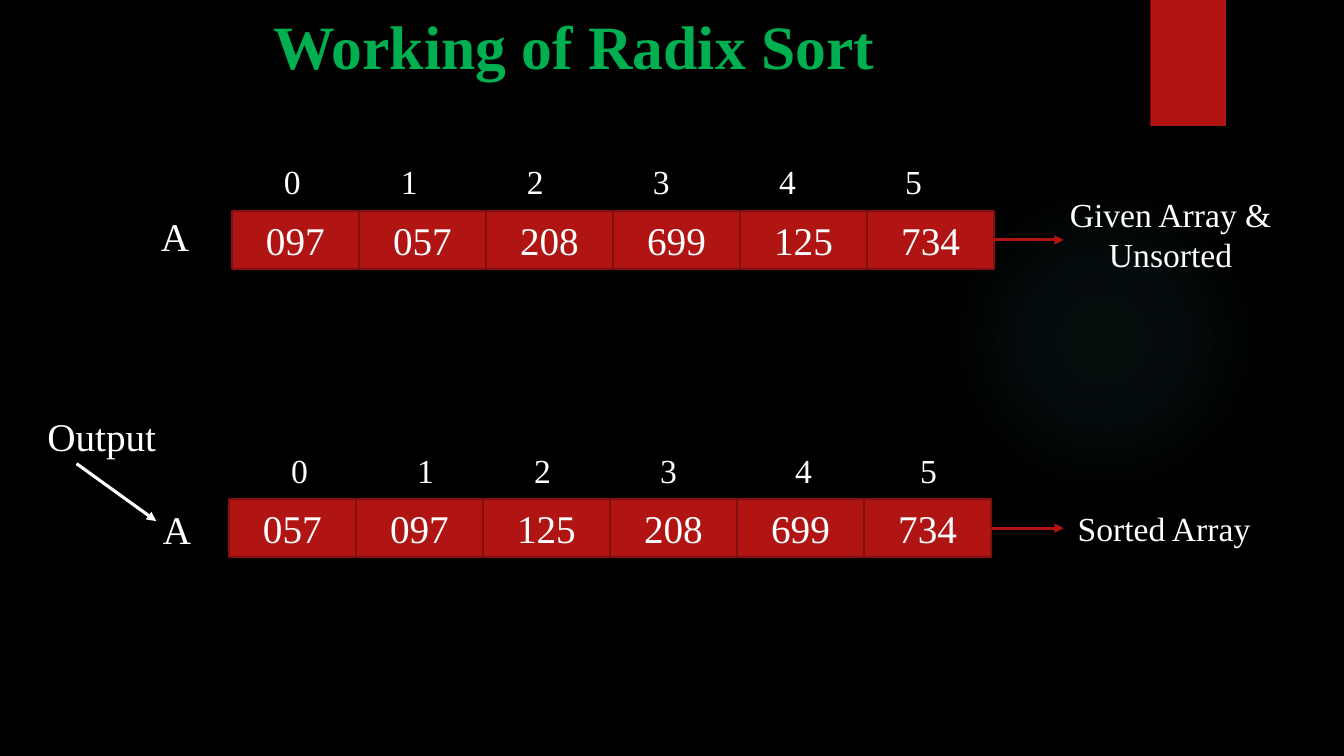
from pptx import Presentation
from pptx.dml.color import RGBColor
from pptx.enum.shapes import MSO_CONNECTOR, MSO_SHAPE
from pptx.enum.text import MSO_ANCHOR, PP_ALIGN
from pptx.oxml import parse_xml
from pptx.oxml.ns import nsdecls, qn
from pptx.util import Inches, Pt
from lxml import etree

RECT, OVAL = MSO_SHAPE.RECTANGLE, MSO_SHAPE.OVAL
LINE = MSO_CONNECTOR.STRAIGHT
MID, TOP = MSO_ANCHOR.MIDDLE, MSO_ANCHOR.TOP
CENTER = PP_ALIGN.CENTER

FONT = "Times New Roman"
COLORS = {"back": "000000", "red": "B01513", "edge": "82100E",
          "green": "00B050", "white": "FFFFFF", "glow": "50B9C1"}
GLOW = [(0, 7), (36, 6), (69, 0)]
TITLE = "Working of Radix Sort"
ROWS = [
    {"vals": ["097", "057", "208", "699", "125", "734"],
     "left": 2.3, "top": 2.09, "marks": [2.9, 4.06, 5.31, 6.56, 7.81, 9.06],
     "name": (0.99, 2.03, 1.49, 0.61),
     "note": "Given Array & Unsorted", "spot": (10.24, 1.74, 2.74, 1.17)},
    {"vals": ["057", "097", "125", "208", "699", "734"],
     "left": 2.27, "top": 4.95, "marks": [2.97, 4.22, 5.38, 6.63, 7.97, 9.21],
     "name": (1.01, 4.94, 1.49, 0.61),
     "note": "Sorted Array", "spot": (10.37, 4.96, 2.35, 0.56)},
]
CELL_W, CELL_H = 1.26, 0.58
MARK_W, MARK_H, MARK_UP = 0.5, 0.5, 0.54
TIP = 10.55


def color(name):
    return RGBColor.from_string(COLORS[name])


def write(shape, text, size, tint="white", bold=False, anchor=MID):
    frame = shape.text_frame
    frame.word_wrap = True
    frame.vertical_anchor = anchor
    para = frame.paragraphs[0]
    para.alignment = CENTER
    run = para.add_run()
    run.text = text
    run.font.name = FONT
    run.font.size = Pt(size)
    run.font.bold = bold
    run.font.color.rgb = color(tint)


def label(slide, box, text, size, **style):
    shape = slide.shapes.add_textbox(*map(Inches, box))
    write(shape, text, size, **style)
    return shape


def block(slide, box, kind=RECT, edge=None):
    shape = slide.shapes.add_shape(kind, *map(Inches, box))
    shape.shadow.inherit = False
    shape.fill.solid()
    shape.fill.fore_color.rgb = color("red")
    if edge:
        shape.line.color.rgb = color(edge)
        shape.line.width = Pt(1.5)
    else:
        shape.line.fill.background()
    return shape


def arrow(slide, start, end, tint):
    line = slide.shapes.add_connector(LINE, *map(Inches, start + end))
    line.line.color.rgb = color(tint)
    line.line.width = Pt(2.25)
    etree.SubElement(line.line._get_or_add_ln(), qn("a:tailEnd"), type="triangle")
    etree.SubElement(line._element.spPr, qn("a:effectLst"))
    return line


def glow(slide, box):
    props = block(slide, box, OVAL)._element.spPr
    stops = "".join(
        f'<a:gs pos="{pos * 1000}"><a:srgbClr val="{COLORS["glow"]}">'
        f'<a:alpha val="{alpha * 1000}"/></a:srgbClr></a:gs>'
        for pos, alpha in GLOW)
    grad = parse_xml(
        f'<a:gradFill {nsdecls("a")}><a:gsLst>{stops}</a:gsLst>'
        '<a:path path="circle"><a:fillToRect l="50000" t="50000" r="50000" b="50000"/>'
        '</a:path></a:gradFill>')
    props.replace(props.find(qn("a:solidFill")), grad)


def array(slide, row):
    left, top = row["left"], row["top"]
    for col, (val, mid) in enumerate(zip(row["vals"], row["marks"])):
        label(slide, (mid - MARK_W / 2, top - MARK_UP, MARK_W, MARK_H), str(col), 24)
        cell = block(slide, (left + col * CELL_W, top, CELL_W, CELL_H), edge="edge")
        write(cell, val, 28)
    label(slide, row["name"], "A", 28)
    label(slide, row["spot"], row["note"], 24)
    y = top + CELL_H / 2
    link = arrow(slide, (left + len(row["vals"]) * CELL_W, y), (TIP, y), "red")
    link.begin_connect(cell, 3)


def main():
    deck = Presentation()
    deck.slide_width, deck.slide_height = Inches(13.33), Inches(7.5)
    slide = deck.slides.add_slide(deck.slide_layouts[6])
    slide.background.fill.solid()
    slide.background.fill.fore_color.rgb = color("back")
    glow(slide, (9.41, 1.83, 3.08, 3.08))
    block(slide, (11.41, 0, 0.75, 1.25))
    title = label(slide, (0.27, -0.05, 10.85, 0.68), TITLE, 44,
                  tint="green", bold=True, anchor=TOP)
    title.text_frame.margin_top = Inches(0.13)
    for row in ROWS:
        array(slide, row)
    label(slide, (0.26, 4.05, 1.5, 0.55), "Output", 28)
    arrow(slide, (0.76, 4.6), (1.55, 5.17), "white")
    deck.save("out.pptx")


if __name__ == "__main__":
    main()
